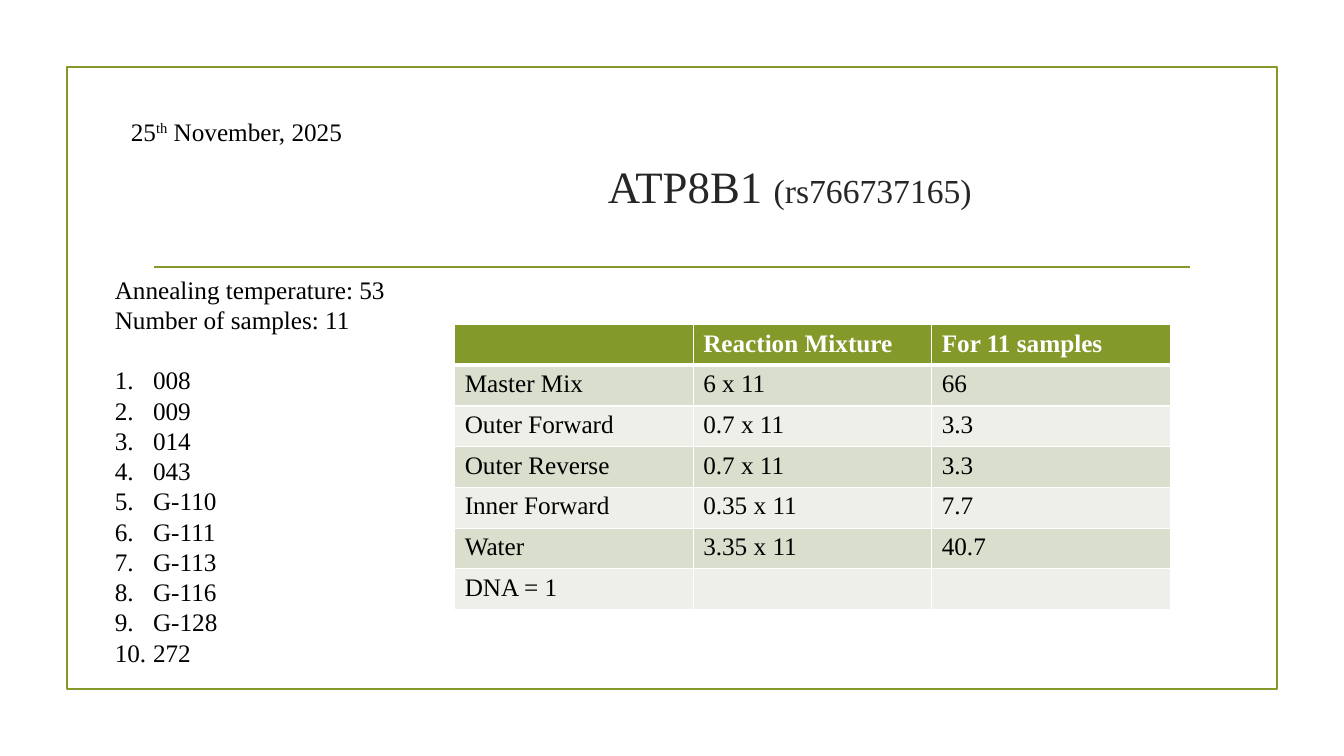
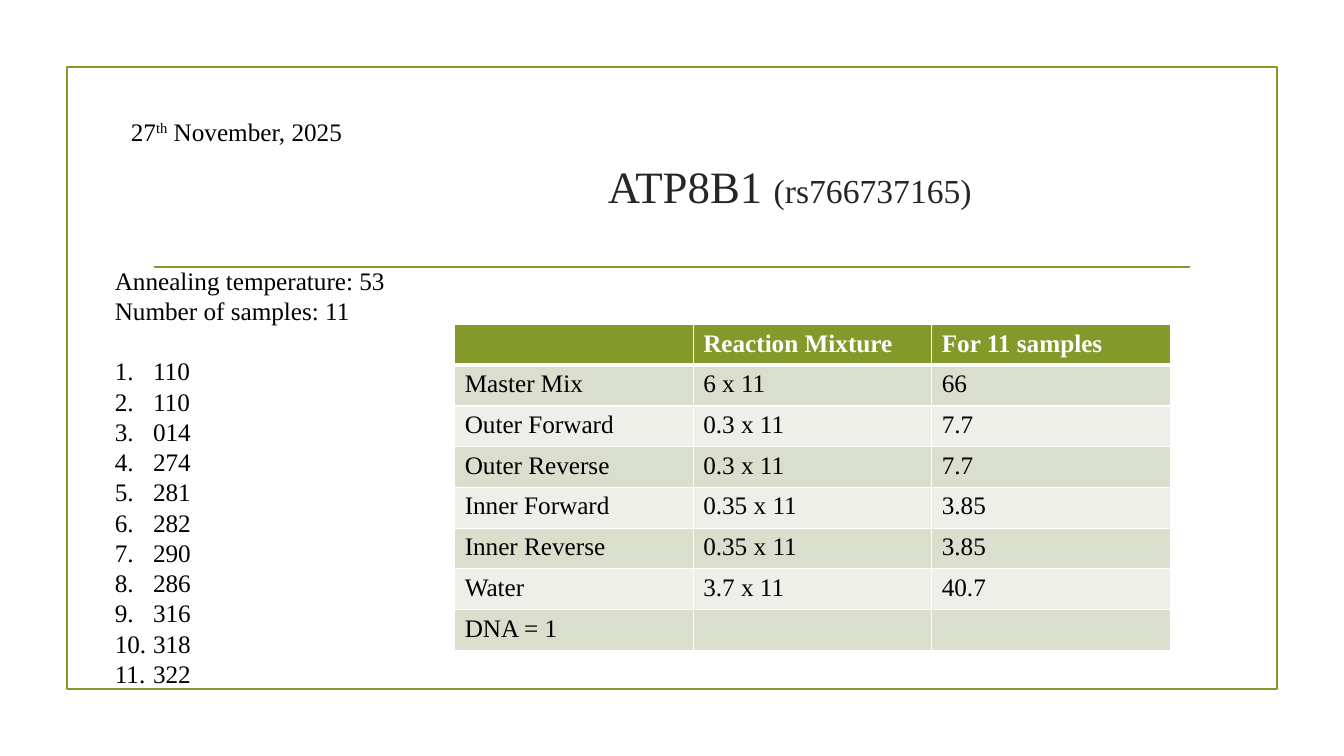
"""Build two lab slides with sample lists and reaction mixture tables."""
from dataclasses import dataclass

from lxml.etree import SubElement
from pptx import Presentation
from pptx.dml.color import RGBColor
from pptx.enum.shapes import MSO_CONNECTOR as Connector, MSO_SHAPE as Preset
from pptx.enum.text import MSO_ANCHOR as Anchor, PP_ALIGN as Align
from pptx.oxml.ns import qn
from pptx.util import Inches, Pt


@dataclass(frozen=True)
class Theme:
    font: str = "Times New Roman"
    green: str = "83992A"
    bands: tuple = ("D9DECD", "EDEFE8")
    white: str = "FFFFFF"
    black: str = "000000"
    title_color: str = "262626"
    title_size: int = 32
    subtitle_size: int = 24
    body_size: int = 18
    line_pitch: float = 21.6
    outline: float = 1.25
    cell_border: int = 1
    header_border: int = 3
    list_indent: float = 0.38


class Deck:
    """Holds the theme and the current slide; places are percentages of the slide."""

    def __init__(self, theme):
        self.theme = theme
        self.presentation = Presentation()
        self.presentation.slide_width = Inches(13.33)
        self.presentation.slide_height = Inches(7.5)
        self.slide = None

    def x(self, share):
        return round(self.presentation.slide_width * share / 100)

    def y(self, share):
        return round(self.presentation.slide_height * share / 100)

    def box(self, left, top, width, height):
        return self.x(left), self.y(top), self.x(width), self.y(height)

    def add_slide(self):
        self.slide = self.presentation.slides.add_slide(self.presentation.slide_layouts[6])
        self.frame()
        self.rule()

    def frame(self):
        shape = self.slide.shapes.add_shape(Preset.RECTANGLE, *self.box(5, 8.87, 90, 82.27))
        shape.shadow.inherit = False
        shape.fill.background()
        self.stroke(shape)

    def rule(self):
        line = self.slide.shapes.add_connector(
            Connector.STRAIGHT, self.x(11.48), self.y(35.33), self.x(88.58), self.y(35.33))
        SubElement(line._element.spPr, qn("a:effectLst"))
        self.stroke(line)

    def stroke(self, shape):
        shape.line.color.rgb = RGBColor.from_string(self.theme.green)
        shape.line.width = Pt(self.theme.outline)

    def style(self, run, color, size=None, bold=False):
        run.font.name = self.theme.font
        run.font.size = Pt(size or self.theme.body_size)
        run.font.bold = bold
        run.font.color.rgb = RGBColor.from_string(color)

    def text_frame(self, *place):
        text_frame = self.slide.shapes.add_textbox(*self.box(*place)).text_frame
        text_frame.word_wrap = True
        return text_frame

    def add_run(self, paragraph, text, color, size=None):
        run = paragraph.add_run()
        run.text = text
        self.style(run, color, size)
        return run

    def title(self, gene, variant):
        theme = self.theme
        text_frame = self.text_frame(41.85, 20, 33.83, 9.2)
        text_frame.vertical_anchor = Anchor.MIDDLE
        paragraph = text_frame.paragraphs[0]
        paragraph.alignment = Align.CENTER
        self.add_run(paragraph, f"{gene} ", theme.title_color, theme.title_size)
        self.add_run(paragraph, variant, theme.title_color, theme.subtitle_size)

    def date(self, day, suffix, month_year):
        paragraph = self.text_frame(9, 14.67, 21.3, 5.33).paragraphs[0]
        self.add_run(paragraph, day, self.theme.black)
        raised = self.add_run(paragraph, suffix, self.theme.black)
        raised.font._element.set("baseline", "30000")
        self.add_run(paragraph, f" {month_year}", self.theme.black)

    def samples(self, top, facts, names):
        text_frame = self.text_frame(7.8, top, 25.13, 91 - top)
        text_frame.text = "\n".join([*facts, *names])
        for index, paragraph in enumerate(text_frame.paragraphs):
            paragraph.line_spacing = Pt(self.theme.line_pitch)
            if index == len(facts):
                paragraph.space_before = Pt(self.theme.line_pitch)
            if index >= len(facts):
                self.number(paragraph)
            self.style(paragraph.runs[0], self.theme.black)

    def number(self, paragraph):
        indent = Inches(self.theme.list_indent)
        properties = paragraph._p.get_or_add_pPr()
        properties.set("marL", str(indent))
        properties.set("indent", str(-indent))
        SubElement(properties, qn("a:buFont"), typeface="+mj-lt")
        SubElement(properties, qn("a:buAutoNum"), type="arabicPeriod")

    def table(self, rows):
        theme = self.theme
        place = self.box(33.83, 42.93, 53.25, 5.39 * len(rows))
        table = self.slide.shapes.add_table(len(rows), len(rows[0]), *place).table
        for row_index, row in enumerate(rows):
            header = row_index == 0
            fill = theme.green if header else theme.bands[(row_index - 1) % 2]
            color = theme.white if header else theme.black
            for column_index, text in enumerate(row):
                cell = table.cell(row_index, column_index)
                self.borders(cell, top_heavy=row_index == 1, bottom_heavy=header)
                cell.fill.solid()
                cell.fill.fore_color.rgb = RGBColor.from_string(fill)
                cell.text_frame.text = text
                for run in cell.text_frame.paragraphs[0].runs:
                    self.style(run, color, bold=header)

    def borders(self, cell, top_heavy, bottom_heavy):
        theme = self.theme
        properties = cell._tc.get_or_add_tcPr()
        for side, heavy in (("L", False), ("R", False), ("T", top_heavy), ("B", bottom_heavy)):
            width = Pt(theme.header_border if heavy else theme.cell_border)
            line = SubElement(properties, qn(f"a:ln{side}"), w=str(width))
            SubElement(SubElement(line, qn("a:solidFill")), qn("a:srgbClr"), val=theme.white)


RUNS = [
    {
        "day": "25",
        "top": 35.6,
        "samples": ["008", "009", "014", "043", "G-110", "G-111", "G-113", "G-116",
                    "G-128", "272"],
        "mixture": [
            ("Master Mix", "6 x 11", "66"),
            ("Outer Forward", "0.7 x 11", "3.3"),
            ("Outer Reverse", "0.7 x 11", "3.3"),
            ("Inner Forward", "0.35 x 11", "7.7"),
            ("Water", "3.35 x 11", "40.7"),
        ],
    },
    {
        "day": "27",
        "top": 34.4,
        "samples": ["110", "110", "014", "274", "281", "282", "290", "286", "316", "318",
                    "322"],
        "mixture": [
            ("Master Mix", "6 x 11", "66"),
            ("Outer Forward", "0.3 x 11", "7.7"),
            ("Outer Reverse", "0.3 x 11", "7.7"),
            ("Inner Forward", "0.35 x 11", "3.85"),
            ("Inner Reverse", "0.35 x 11", "3.85"),
            ("Water", "3.7 x 11", "40.7"),
        ],
    },
]
FACTS = ["Annealing temperature: 53", "Number of samples: 11"]
HEADER = ("", "Reaction Mixture", "For 11 samples")
FOOTER = ("DNA = 1", "", "")


def main():
    deck = Deck(Theme())
    for run in RUNS:
        deck.add_slide()
        deck.title("ATP8B1", "(rs766737165)")
        deck.date(run["day"], "th", "November, 2025")
        deck.samples(run["top"], FACTS, run["samples"])
        deck.table([HEADER, *run["mixture"], FOOTER])
    deck.presentation.save("out.pptx")


if __name__ == "__main__":
    main()
